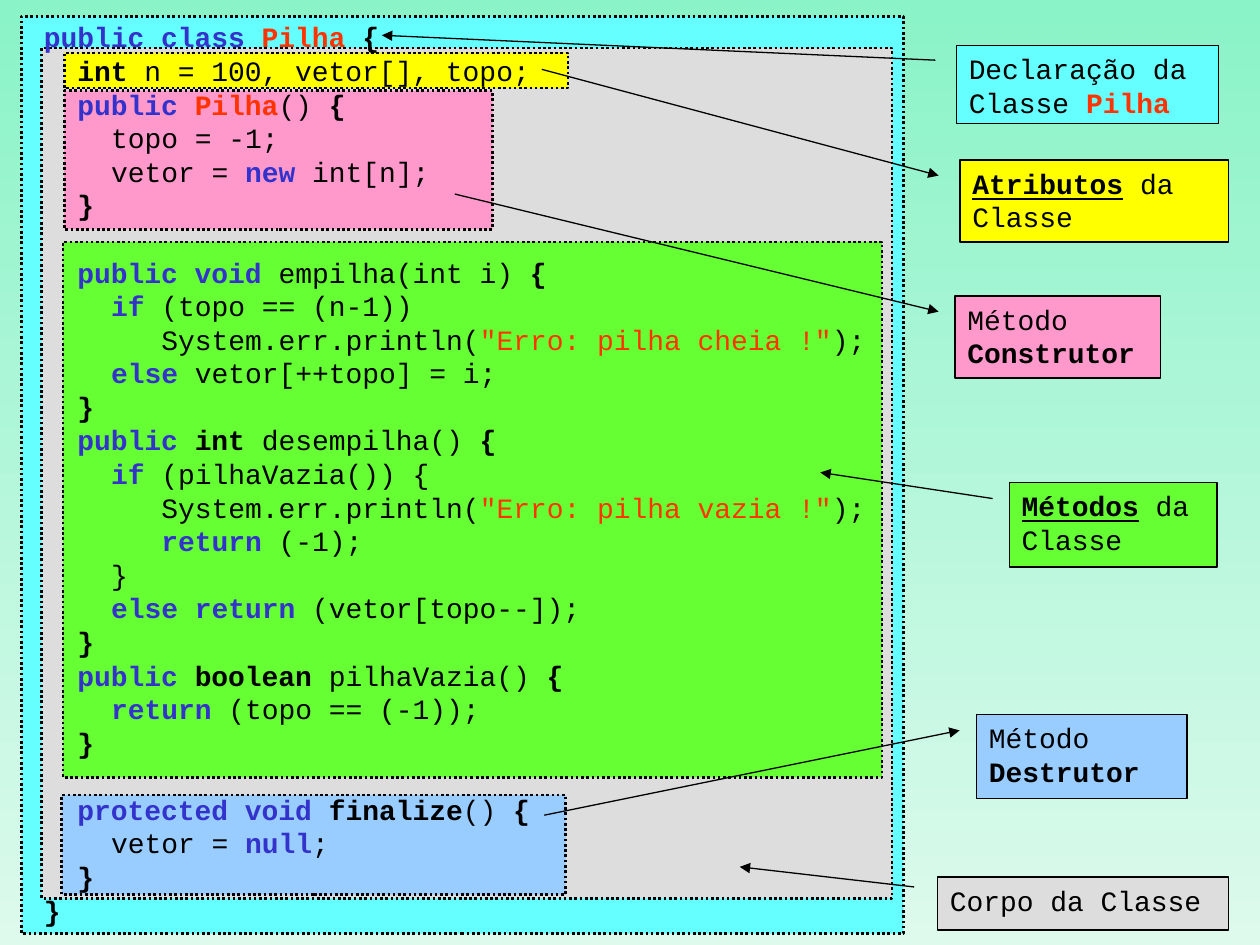
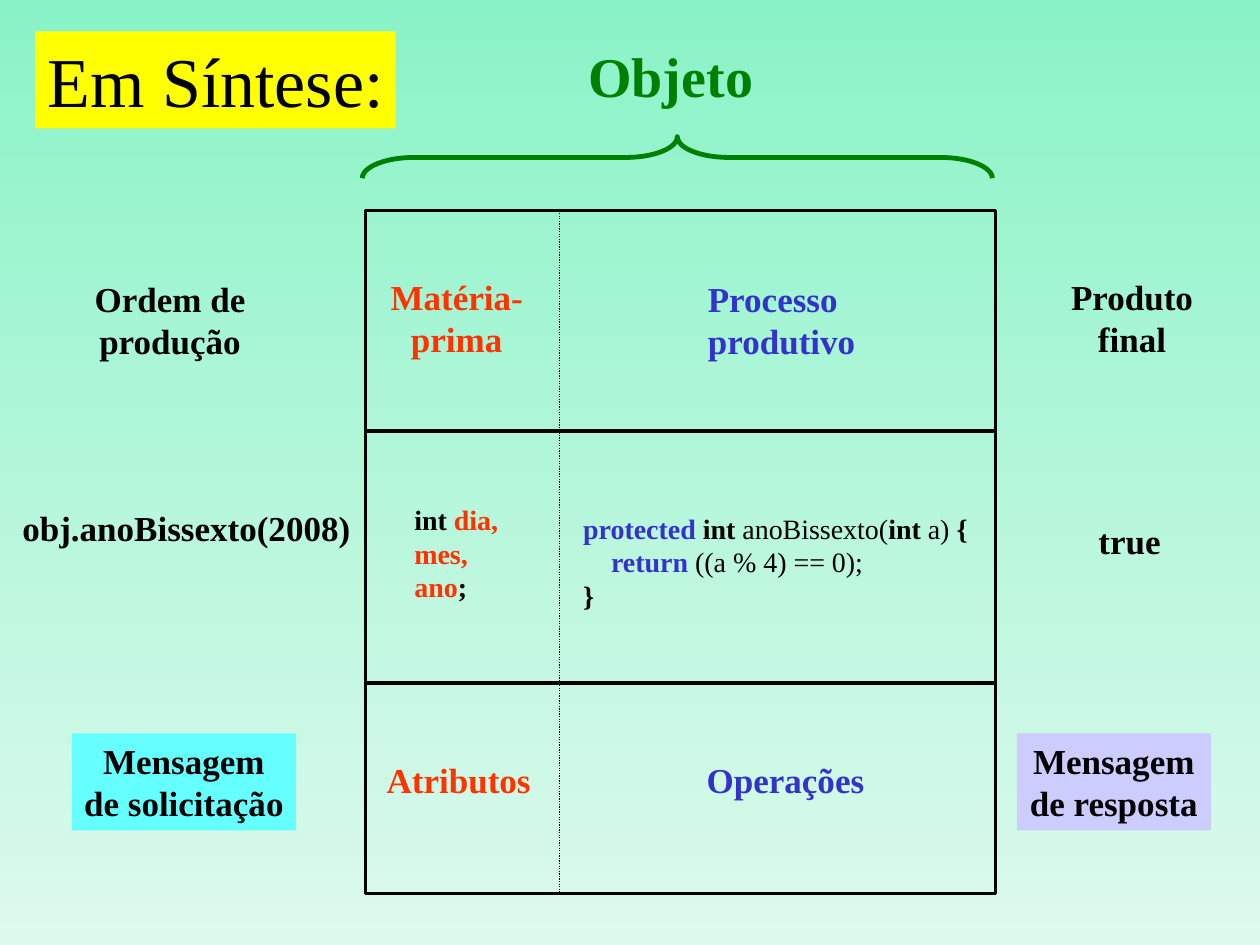
from dataclasses import dataclass

from pptx import Presentation
from pptx.dml.color import RGBColor
from pptx.enum.dml import MSO_LINE
from pptx.enum.shapes import MSO_CONNECTOR, MSO_SHAPE
from pptx.enum.text import MSO_ANCHOR, PP_ALIGN
from pptx.oxml.ns import qn
from pptx.util import Inches, Pt


@dataclass(frozen=True)
class Theme:
    black: str = "000000"
    keyword: str = "3333CC"
    accent: str = "FF3300"
    object: str = "008000"
    cyan: str = "66FFFF"
    grey: str = "DDDDDD"
    lime: str = "66FF33"
    yellow: str = "FFFF00"
    sky: str = "99CCFF"
    pink: str = "FF99CC"
    lilac: str = "CCCCFF"
    background: tuple = ("8AF3C7", "DDFAED")
    mono: str = "Courier New"
    serif: str = "Times New Roman"
    code_size: int = 16
    label_size: int = 20
    object_size: int = 32
    title_size: int = 40
    leading: float = 1.2


THEME = Theme()
MONO_COLUMN = 0.6 * THEME.code_size / 72
SERIF_COLUMN = 0.25 * THEME.code_size / 72


def keyword(text):
    return text, {"color": THEME.keyword, "bold": True}


def accent(text):
    return text, {"color": THEME.accent, "bold": True}


def literal(text):
    return text, {"color": THEME.accent}


def strong(text):
    return text, {"bold": True}


def heading(text):
    return text, {"bold": True, "underline": True}


# Each line: columns of indent, spans, and whether an empty line's gap precedes it.
STACK_CODE = [
    (0, [keyword("public class "), accent("Pilha "), strong("{")], False),
    (2, [strong("int"), " n = 100, vetor[], topo;"], False),
    (2, [keyword("public "), accent("Pilha"), "() ", strong("{")], False),
    (4, ["topo = -1;"], False),
    (4, ["vetor = ", keyword("new"), " int[n];"], False),
    (2, [strong("}")], False),
    (2, [keyword("public void"), " empilha(int i) ", strong("{")], True),
    (4, [keyword("if"), " (topo == (n-1))"], False),
    (7, ["System.err.println(", literal('"Erro: pilha cheia !"'), ");"], False),
    (4, [keyword("else"), " vetor[++topo] = i;"], False),
    (2, [strong("}")], False),
    (2, [keyword("public "), strong("int"), " desempilha() ", strong("{")], False),
    (4, [keyword("if"), " (pilhaVazia()) {"], False),
    (7, ["System.err.println(", literal('"Erro: pilha vazia !"'), ");"], False),
    (7, [keyword("return"), " (-1);"], False),
    (4, ["}"], False),
    (4, [keyword("else return"), " (vetor[topo--]);"], False),
    (2, [strong("}")], False),
    (2, [keyword("public "), strong("boolean"), " pilhaVazia() ", strong("{")], False),
    (4, [keyword("return"), " (topo == (-1));"], False),
    (2, [strong("}")], False),
    (2, [keyword("protected void "), strong("finalize"), "() ", strong("{")], True),
    (4, ["vetor = ", keyword("null"), ";"], False),
    (2, [strong("}")], False),
    (0, [strong("}")], False),
]

CODE_REGIONS = [
    ((0.17, 0.13, 7, 7.28), THEME.cyan),
    ((0.33, 0.38, 6.75, 6.75), THEME.grey),
    ((0.5, 1.92, 6.5, 4.25), THEME.lime),
    ((0.51, 0.42, 4, 0.28), THEME.yellow),
    ((0.49, 6.31, 4, 0.79), THEME.sky),
    ((0.51, 0.72, 3.4, 1.1), THEME.pink),
]

# Each callout: place, fill, far end of its line, end with the arrowhead, lines.
CALLOUTS = [
    ((7.59, 0.36, 2.08, 0.62), THEME.cyan, (3.03, 0.28), "tailEnd",
     [["Declaração da Classe ", accent("Pilha")]]),
    ((7.44, 6.96, 2.31, 0.42), THEME.grey, (5.87, 6.88), "tailEnd",
     [["Corpo da Classe"]]),
    ((8.01, 3.83, 1.65, 0.67), THEME.lime, (6.51, 3.75), "tailEnd",
     [[heading("Métodos"), " da Classe"]]),
    ((7.62, 1.27, 2.13, 0.65), THEME.yellow, (4.3, 0.55), "headEnd",
     [[heading("Atributos"), " da Classe"]]),
    ((7.75, 5.67, 1.67, 0.67), THEME.sky, (4.32, 6.47), "headEnd",
     [["Método ", strong("Destrutor")]]),
    ((7.58, 2.35, 1.63, 0.65), THEME.pink, (3.61, 1.54), "headEnd",
     [["Método"], [strong("Construtor")]]),
]

# Each label: place, colour, alignment, lines.
LABELS = [
    ((0.65, 2.15, 1.4, 0.77), THEME.black, PP_ALIGN.CENTER, ["Ordem de", "produção"]),
    ((8.4, 2.14, 1.17, 0.77), THEME.black, PP_ALIGN.CENTER, ["Produto", "final"]),
    ((3, 2.14, 1.25, 0.77), THEME.accent, PP_ALIGN.CENTER, ["Matéria-", "prima"]),
    ((5.52, 2.15, 1.37, 0.77), THEME.keyword, PP_ALIGN.LEFT, ["Processo", "produtivo"]),
    ((2.97, 5.97, 1.34, 0.44), THEME.accent, PP_ALIGN.LEFT, ["Atributos"]),
    ((5.51, 5.97, 1.45, 0.44), THEME.keyword, PP_ALIGN.LEFT, ["Operações"]),
    ((0.08, 3.97, 2.8, 0.44), THEME.black, PP_ALIGN.CENTER, ["obj.anoBissexto(2008)"]),
    ((8.62, 4.07, 0.69, 0.44), THEME.black, PP_ALIGN.CENTER, ["true"]),
]

MESSAGES = [
    ((0.57, 5.82, 1.78, 0.77), THEME.cyan, ["Mensagem", "de solicitação"]),
    ((8.07, 5.82, 1.54, 0.77), THEME.lilac, ["Mensagem", "de resposta"]),
]


def set_values(target, values):
    for name, value in values.items():
        setattr(target, name, value)


def inches(place):
    return [Inches(value) for value in place]


def add_page(deck):
    page = deck.slides.add_slide(deck.slide_layouts[6])
    fill = page.background.fill
    fill.gradient()
    fill.gradient_angle = 270
    for stop, color in zip(fill.gradient_stops, THEME.background):
        stop.color.rgb = RGBColor.from_string(color)
    return page


def set_line(line, width, color=THEME.black, dash=None):
    line.color.rgb = RGBColor.from_string(color)
    set_values(line, {"width": Pt(width), "dash_style": dash})


def add_box(page, place, fill=None, preset=MSO_SHAPE.RECTANGLE):
    box = page.shapes.add_shape(preset, *inches(place))
    box.shadow.inherit = False
    if fill:
        box.fill.solid()
        box.fill.fore_color.rgb = RGBColor.from_string(fill)
    else:
        box.fill.background()
    box.line.fill.background()
    return box


def add_span(para, text, font, size, color=THEME.black, bold=False, underline=False):
    span = para.add_run()
    span.text = text
    set_values(span.font, {"name": font, "size": Pt(size), "bold": bold,
                           "underline": underline})
    span.font.color.rgb = RGBColor.from_string(color)


def write(box, lines, font=THEME.serif, size=THEME.label_size, align=PP_ALIGN.LEFT,
          column=0, **style):
    """Fill box with (columns, spans, gap) lines, plain span lists or strings.

    The right margin is dropped, and the left one too for centred text, so that
    closely fitted lines do not break.
    """
    frame = box.text_frame
    left_margin = Inches(0 if align == PP_ALIGN.CENTER else 0.1)
    set_values(frame, {"word_wrap": True, "vertical_anchor": MSO_ANCHOR.TOP,
                       "margin_left": left_margin, "margin_right": 0})
    height = Pt(size * THEME.leading)
    for index, line in enumerate(lines):
        if not isinstance(line, tuple):
            line = (0, [line] if isinstance(line, str) else line, False)
        columns, spans, gap = line
        para = frame.add_paragraph() if index else frame.paragraphs[0]
        set_values(para, {"alignment": align, "line_spacing": height,
                          "space_before": height if gap else Pt(0)})
        properties = para._p.get_or_add_pPr()
        properties.set("marL", str(Inches(columns * column)))
        properties.set("indent", "0")
        for span in spans:
            text, own_style = (span, {}) if isinstance(span, str) else span
            add_span(para, text, font, size, **{**style, **own_style})


def add_text(page, place, lines, **style):
    write(page.shapes.add_textbox(*inches(place)), lines, **style)


def add_callout(page, place, fill, target, arrow_end, lines):
    box = add_box(page, place, fill, MSO_SHAPE.LINE_CALLOUT_1)
    left, top, width, height = place
    ratios = (0.19, -0.08, (target[1] - top) / height, (target[0] - left) / width)
    for index, ratio in enumerate(ratios):
        box.adjustments[index] = ratio
    set_line(box.line, 0.75)
    outline = box.line._get_or_add_ln()
    outline.append(outline.makeelement(qn(f"a:{arrow_end}"), {"type": "triangle"}))
    write(box, lines, font=THEME.mono, size=THEME.code_size)


def add_rule(page, start, end, width, dash=None):
    rule = page.shapes.add_connector(MSO_CONNECTOR.STRAIGHT, *inches(start + end))
    set_line(rule.line, width, dash=dash)
    properties = rule._element.spPr
    properties.append(properties.makeelement(qn("a:effectLst"), {}))


def add_object_brace(page):
    brace = add_box(page, (5.21, -1.25, 0.33, 5), preset=MSO_SHAPE.LEFT_BRACE)
    brace.rotation = 90
    brace.adjustments[0] = 1.25
    set_line(brace.line, 2.75, THEME.object)


def add_object_grid(page):
    left, top, right, bottom = 2.9, 1.67, 7.9, 7.09
    frame = add_box(page, (left, top, right - left, bottom - top))
    set_line(frame.line, 2)
    for row in (3.42, 5.42):
        add_rule(page, (left, row), (right, row), 2)
    add_rule(page, (4.44, top), (4.44, bottom), 0.75, MSO_LINE.ROUND_DOT)


def build_class_page(deck):
    page = add_page(deck)
    for place, fill in CODE_REGIONS:
        region = add_box(page, place, fill)
        set_line(region.line, 1.5, dash=MSO_LINE.ROUND_DOT)
    for callout in CALLOUTS:
        add_callout(page, *callout)
    add_text(page, (0.25, 0.11, 9.53, 7.3), STACK_CODE, font=THEME.mono,
             size=THEME.code_size, column=MONO_COLUMN)


def build_summary_page(deck):
    page = add_page(deck)
    add_object_grid(page)
    add_object_brace(page)
    for place, color, align, lines in LABELS:
        add_text(page, place, lines, color=color, align=align, bold=True)
    for place, fill, lines in MESSAGES:
        write(add_box(page, place, fill), lines, align=PP_ALIGN.CENTER, bold=True)
    add_text(page, (3.19, 3.94, 0.92, 0.9),
             [[strong("int "), accent("dia,")], [accent("mes,")],
              [accent("ano"), strong(";")]], size=THEME.code_size)
    add_text(page, (4.53, 4.01, 3.25, 0.9),
             [[keyword("protected "), strong("int"), " anoBissexto(", strong("int"),
               " a) ", strong("{")],
              (4, [keyword("return"), " ((a % 4) == 0);"], False),
              [strong("}")]], size=THEME.code_size, column=SERIF_COLUMN)
    add_text(page, (4.57, 0.28, 1.51, 0.64), ["Objeto"], size=THEME.object_size,
             color=THEME.object, bold=True)
    write(add_box(page, (0.28, 0.25, 2.86, 0.77), THEME.yellow), ["Em Síntese:"],
          size=THEME.title_size)


def main():
    deck = Presentation()
    set_values(deck, {"slide_width": Inches(10), "slide_height": Inches(7.5)})
    build_class_page(deck)
    build_summary_page(deck)
    deck.save("out.pptx")


if __name__ == "__main__":
    main()
